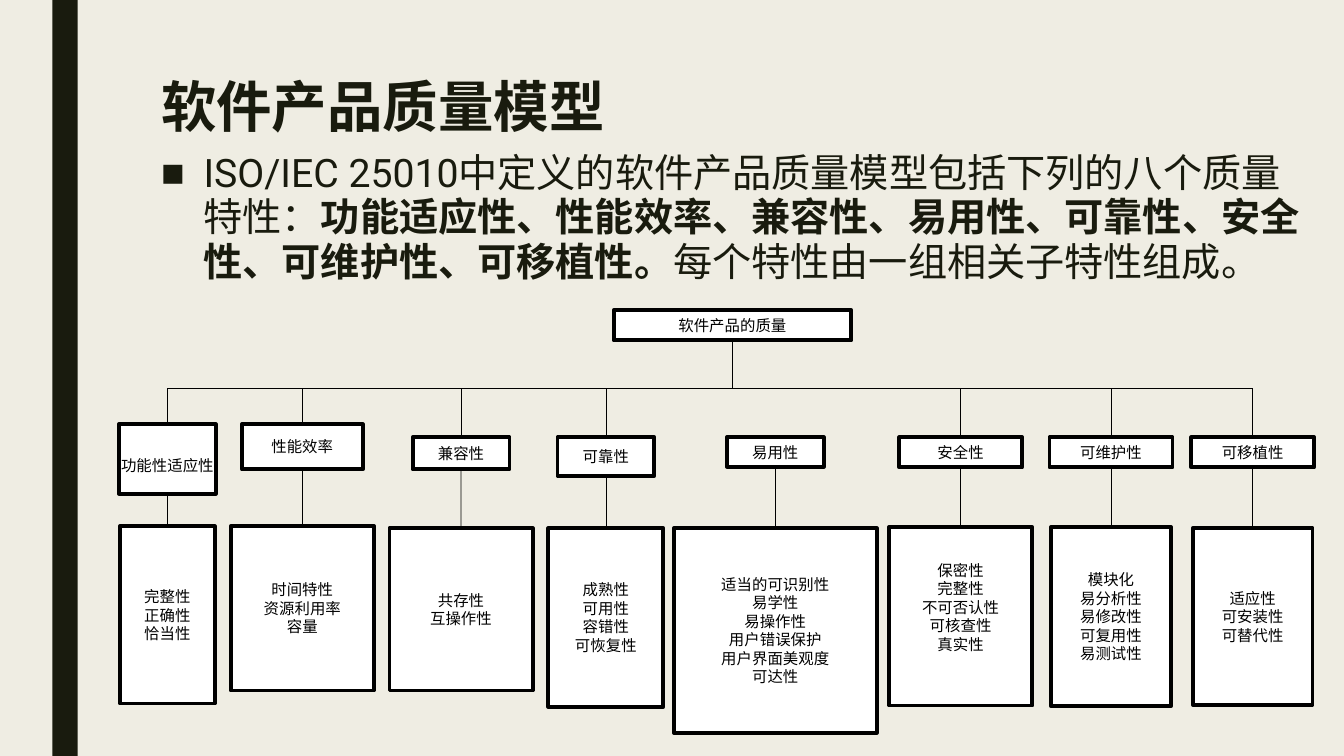
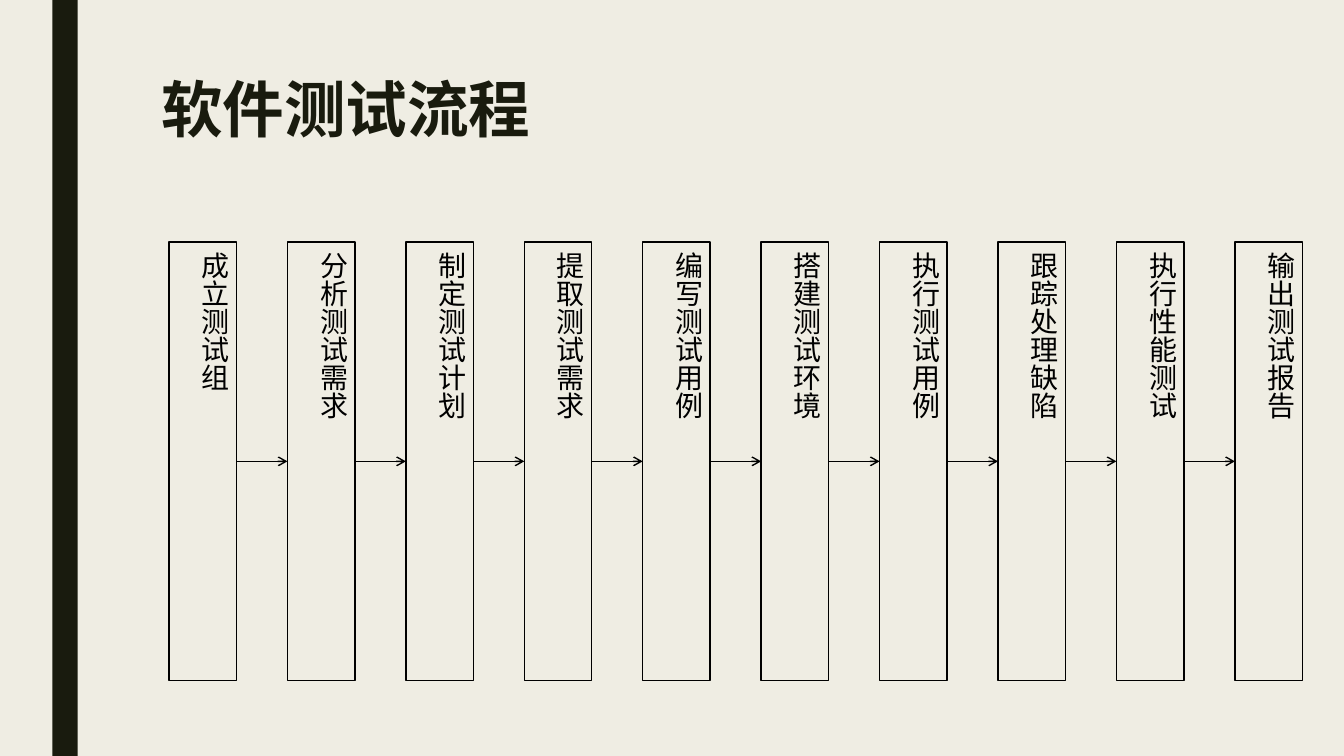
"""Build two slides on software quality and software testing."""
from itertools import pairwise

from lxml.etree import SubElement
from pptx import Presentation
from pptx.dml.color import RGBColor
from pptx.enum.shapes import MSO_CONNECTOR, MSO_SHAPE
from pptx.enum.text import MSO_ANCHOR, PP_ALIGN
from pptx.oxml.ns import qn
from pptx.util import Cm, Pt

PAPER = RGBColor(0xEF, 0xED, 0xE3)
INK = RGBColor(0x19, 0x1B, 0x0E)
BLACK = RGBColor(0, 0, 0)
WHITE = RGBColor(0xFF, 0xFF, 0xFF)
MAIN = "Roboto"
SIDE = "Arial"
TOP, BOTTOM, LEFT, RIGHT = 0, 2, 1, 3

INTRO = [
    ("ISO/IEC 25010中定义的软件产品质量模型包括下列的八个质量特性：", False),
    ("功能适应性、性能效率、兼容性、易用性、可靠性、安全性、可维护性、可移植性。", True),
    ("每个特性由一组相关子特性组成。", False),
]

# Each trait: middle, head (name, top, width, height, foot), list (parts, top, width, height, foot), stem
TRAITS = [
    (1.22, ("功能性适应性", 2.87, 2.44, 1.75, 0.47),
     ("完整性 正确性 恰当性", 5.44, 2.39, 4.47, 0), True),
    (4.62, ("性能效率", 2.87, 3.05, 1.14, 0),
     ("时间特性 资源利用率 容量", 5.44, 3.61, 4.14, 0), True),
    (8.62, ("兼容性", 3.2, 2.44, 0.81, 0),
     ("共存性 互操作性", 5.49, 3.61, 4.09, 0), True),
    (12.27, ("可靠性", 3.2, 2.44, 0.97, 0),
     ("成熟性 可用性 容错性 可恢复性", 5.49, 2.9, 4.5, 0), True),
    (16.54, ("易用性", 3.2, 2.44, 0.74, 0),
     ("适当的可识别性 易学性 易操作性 用户错误保护 用户界面美观度 可达性",
      5.49, 5.11, 5.16, 0), False),
    (21.21, ("安全性", 3.2, 3.1, 0.76, 0),
     ("保密性 完整性 不可否认性 可核查性 真实性", 5.46, 3.61, 4.5, 0.46), True),
    (25, ("可维护性", 3.2, 3.1, 0.76, 0),
     ("模块化 易分析性 易修改性 可复用性 易测试性", 5.46, 3.02, 4.52, 0), True),
    (28.57, ("可移植性", 3.2, 3.1, 0.76, 0),
     ("适应性 可安装性 可替代性", 5.49, 3.02, 4.45, 0), True),
]

STEPS = ["成立测试组", "分析测试需求", "制定测试计划", "提取测试需求", "编写测试用例",
         "搭建测试环境", "执行测试用例", "跟踪处理缺陷", "执行性能测试", "输出测试报告"]


def write(frame, paras, size, font=MAIN, color=BLACK, bold=False, align=PP_ALIGN.LEFT,
          anchor=MSO_ANCHOR.TOP, wrap=True, inset=None, foot=0, space=None,
          before=0, after=0, bullet=None, indent=0):
    """Fill a text frame; a paragraph is a string or a list of (text, bold) runs."""
    frame.word_wrap = wrap
    frame.vertical_anchor = anchor
    if inset is not None:
        frame.margin_left = frame.margin_right = frame.margin_top = Cm(inset)
        frame.margin_bottom = Cm(inset + foot)
    for i, runs in enumerate(paras):
        para = frame.add_paragraph() if i else frame.paragraphs[0]
        para.alignment = align
        para.line_spacing = space
        para.space_before, para.space_after = Pt(before), Pt(after)
        if bullet:
            props = para._p.get_or_add_pPr()
            props.set("marL", str(Cm(indent)))
            props.set("indent", str(-Cm(indent)))
            SubElement(props, qn("a:buFont"), typeface=SIDE)
            SubElement(props, qn("a:buChar"), char=bullet)
        for words, heavy in [(runs, bold)] if isinstance(runs, str) else runs:
            run = para.add_run()
            run.text = words
            run.font.name, run.font.size = font, Pt(size)
            run.font.bold = heavy
            run.font.color.rgb = color


def rect(slide, x, y, w, h, fill=None, line=None, width=1):
    """Add a plain rectangle."""
    shape = slide.shapes.add_shape(MSO_SHAPE.RECTANGLE, Cm(x), Cm(y), Cm(w), Cm(h))
    shape.shadow.inherit = False
    if fill is None:
        shape.fill.background()
    else:
        shape.fill.solid()
        shape.fill.fore_color.rgb = fill
    if line is None:
        shape.line.fill.background()
    else:
        shape.line.color.rgb = line
        shape.line.width = Pt(width)
    return shape


def link(slide, start, end, width, first=None, last=None, arrow=False):
    """Draw a line between two points, joined to (shape, side) pairs if given."""
    line = slide.shapes.add_connector(MSO_CONNECTOR.STRAIGHT, *map(Cm, start + end))
    if first:
        line.begin_connect(*first)
    if last:
        line.end_connect(*last)
    line.line.color.rgb = BLACK
    line.line.width = Pt(width)
    if arrow:
        SubElement(line.line._get_or_add_ln(), qn("a:tailEnd"), type="arrow")
    SubElement(line.element.spPr, qn("a:effectLst"))


def textbox(slide, box, paras, **look):
    """Add a text box with formatted text."""
    write(slide.shapes.add_textbox(*map(Cm, box)).text_frame, paras, **look)


def base(deck, title, size):
    """Add a slide with the shared paper, band and title."""
    slide = deck.slides.add_slide(deck.slide_layouts[6])
    slide.background.fill.solid()
    slide.background.fill.fore_color.rgb = PAPER
    rect(slide, 1.32, 0, 0.64, 19.05, fill=INK)
    textbox(slide, (3.81, 1.9, 26.67, 1.58), [title], size=size, color=INK,
            bold=True, space=0.89)
    return slide


def node(slide, mid, y, w, h, paras, foot=0):
    """Add a framed white box centred on a middle line."""
    shape = rect(slide, mid - w / 2, y, w, h, fill=WHITE, line=BLACK, width=2.75)
    write(shape.text_frame, paras, size=11, align=PP_ALIGN.CENTER,
          anchor=MSO_ANCHOR.BOTTOM if foot and len(paras) == 1 else MSO_ANCHOR.MIDDLE,
          inset=0, foot=foot)
    return shape


def tree(slide, x, y):
    """Draw the quality tree from its top left corner."""
    bar, hub = y + 1.96, x + 15.46
    root = node(slide, hub, y, 5.99, 0.76, ["软件产品的质量"])
    link(slide, (hub, y + 0.76), (hub, bar), 0.5, first=(root, BOTTOM))
    link(slide, (x + TRAITS[0][0], bar), (x + TRAITS[-1][0], bar), 0.5)
    for mid, (name, top, w, h, foot), (parts, low, wide, tall, base_gap), stem in TRAITS:
        mid += x
        head = node(slide, mid, y + top, w, h, [name], foot)
        leaf = node(slide, mid, y + low, wide, tall, parts.split(), base_gap)
        if stem:
            link(slide, (mid, bar), (mid, y + top), 0.5, last=(head, TOP))
        link(slide, (mid, y + top + h), (mid, y + low), 0.5,
             first=(head, BOTTOM), last=(leaf, TOP))


def flow(slide, x, y, w, h, wide=1.7):
    """Spread the test steps evenly over a box and join them with arrows."""
    pitch = (w - wide) / (len(STEPS) - 1)
    cards = []
    for i, step in enumerate(STEPS):
        card = rect(slide, x + i * pitch, y, wide, h, line=BLACK)
        write(card.text_frame, [step], size=20, font=SIDE, align=PP_ALIGN.CENTER, wrap=False)
        card.element.txBody.find(qn("a:bodyPr")).set("vert", "eaVert")
        cards.append(card)
    for one, two in pairwise(cards):
        link(slide, (x, y), (x, y), 1, first=(one, RIGHT), last=(two, LEFT), arrow=True)


def main():
    """Build and save the deck."""
    deck = Presentation()
    deck.slide_width, deck.slide_height = Cm(33.87), Cm(19.05)
    model = base(deck, "软件产品质量模型", 39.6)
    textbox(model, (3.81, 3.71, 29.24, 3.8), [INTRO], size=28, color=INK, space=0.94,
            before=10, after=2, bullet="■", indent=1.07)
    tree(model, 3, 7.82)
    steps = base(deck, "软件测试流程", 44)
    flow(steps, 4.26, 6.1, 28.56, 11.05)
    deck.save("out.pptx")


if __name__ == "__main__":
    main()
